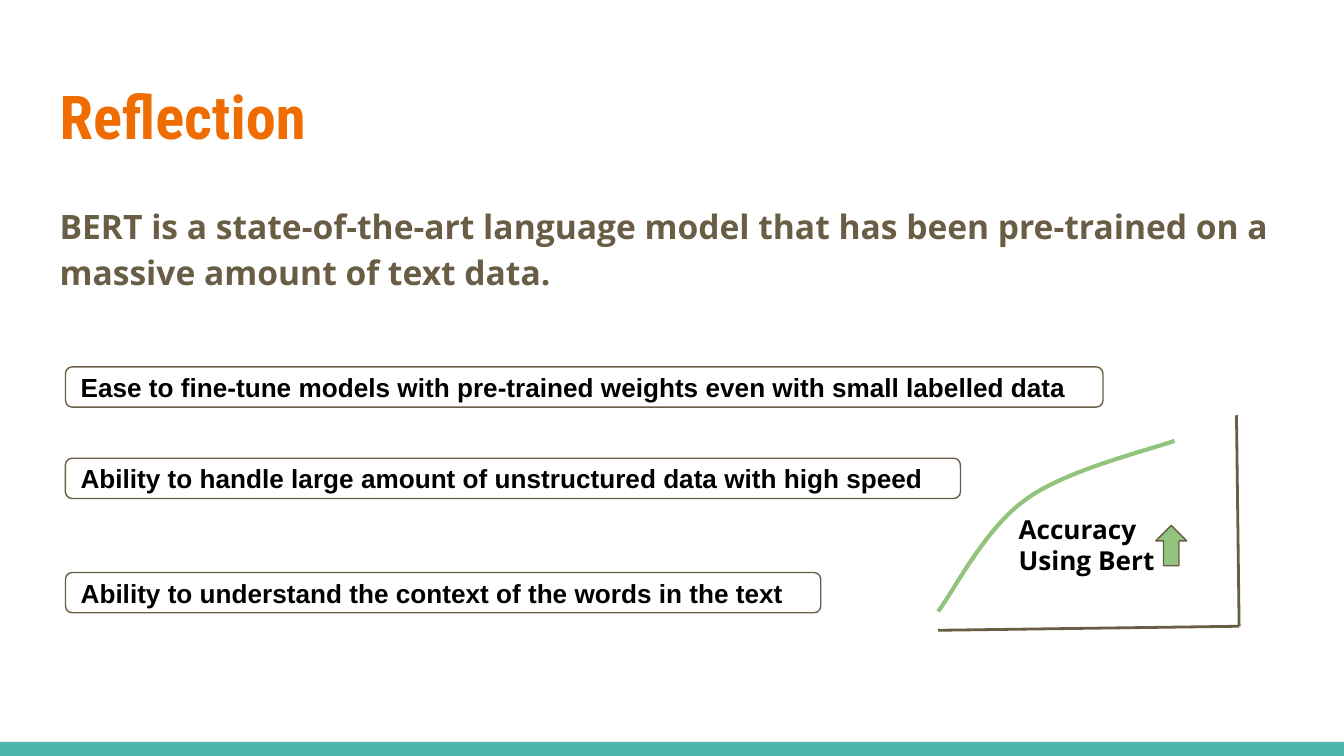
from dataclasses import dataclass

from lxml import etree
from pptx import Presentation
from pptx.dml.color import RGBColor
from pptx.enum.shapes import MSO_CONNECTOR, MSO_SHAPE
from pptx.enum.text import MSO_ANCHOR, PP_ALIGN
from pptx.oxml.ns import qn
from pptx.util import Inches, Pt

RECTANGLE = MSO_SHAPE.RECTANGLE
ROUNDED = MSO_SHAPE.ROUNDED_RECTANGLE
UP_ARROW = MSO_SHAPE.UP_ARROW
STRAIGHT = MSO_CONNECTOR.STRAIGHT
LEFT = PP_ALIGN.LEFT
TOP, MIDDLE = MSO_ANCHOR.TOP, MSO_ANCHOR.MIDDLE

COLORS = {
    "white": "FFFFFF",
    "black": "000000",
    "teal": "4DB6AC",
    "orange": "EF6C00",
    "brown": "695D46",
    "green": "93C47D",
}
UNIT = 0.1  # inches in one grid column or row
COLUMNS, ROWS = 100, 56.25


@dataclass
class Box:
    """An area in grid columns and rows."""
    column: float
    row: float
    columns: float
    rows: float


@dataclass
class Benefit:
    text: str
    row: float
    columns: float


BENEFITS = [
    Benefit("Ease to fine-tune models with pre-trained weights even with small labelled data", 27.3, 77.2),
    Benefit("Ability to handle large amount of unstructured data with high speed", 34.1, 66.6),
    Benefit("Ability to understand the context of the words in the text", 42.6, 56.2),
]
# Start point, then two control points and an end point for each curve segment
ACCURACY_CURVE = [(69.8, 45.5), (70.9, 44.1), (73.3, 39.3), (76.3, 37.2),
                  (79.2, 35), (85.5, 33.5), (87.4, 32.8)]
AXIS_CORNER = (92.2, 46.6)
AXIS_ENDS = [(69.8, 46.9), (92, 30.9)]


def grid(*cells: float) -> list[int]:
    return [Inches(cell * UNIT) for cell in cells]


def area(box: Box) -> list[int]:
    return grid(box.column, box.row, box.columns, box.rows)


def color(name: str) -> RGBColor:
    return RGBColor.from_string(COLORS[name])


def set_line(shape, name: str, width: float) -> None:
    shape.line.color.rgb = color(name)
    shape.line.width = Pt(width)


def write(shape, text: str, *, size: float, font: str = "Arial", ink: str = "black",
          anchor=TOP, spacing: float = 1.0) -> None:
    frame = shape.text_frame
    frame.word_wrap = True
    frame.vertical_anchor = anchor
    frame.margin_left = frame.margin_right = Inches(0.1)
    frame.margin_top = frame.margin_bottom = Inches(0.1)
    frame.text = text
    for paragraph in frame.paragraphs:
        paragraph.alignment = LEFT
        paragraph.line_spacing = spacing
        for run in paragraph.runs:
            run.font.name = font
            run.font.size = Pt(size)
            run.font.bold = True
            run.font.color.rgb = color(ink)


def add_text(slide, box: Box, text: str, **style) -> None:
    write(slide.shapes.add_textbox(*area(box)), text, **style)


def add_block(slide, kind, box: Box, fill: str, outline: str | None = None):
    shape = slide.shapes.add_shape(kind, *area(box))
    shape.shadow.inherit = False
    shape.fill.solid()
    shape.fill.fore_color.rgb = color(fill)
    if outline:
        set_line(shape, outline, 0.75)
    else:
        shape.line.fill.background()
    return shape


def add_axis(slide, start: tuple[float, float], end: tuple[float, float]) -> None:
    axis = slide.shapes.add_connector(STRAIGHT, *grid(*start, *end))
    set_line(axis, "brown", 1.5)
    etree.SubElement(axis._element.spPr, qn("a:effectLst"))


def add_curve(slide, points: list[tuple[float, float]]) -> None:
    start, *others = [grid(*point) for point in points]
    builder = slide.shapes.build_freeform(*start)
    builder.add_line_segments(others, close=False)
    curve = builder.convert_to_shape()
    curve.shadow.inherit = False
    curve.fill.background()
    set_line(curve, "green", 2.25)
    # Turn each three line segments into one Bezier segment
    segments = list(curve._element.iter(qn("a:lnTo")))
    for first in range(0, len(segments), 3):
        bezier = etree.SubElement(segments[first].getparent(), qn("a:cubicBezTo"))
        for segment in segments[first:first + 3]:
            bezier.append(segment[0])
            segment.getparent().remove(segment)


def main() -> None:
    presentation = Presentation()
    presentation.slide_width, presentation.slide_height = grid(COLUMNS, ROWS)
    slide = presentation.slides.add_slide(presentation.slide_layouts[6])

    # Footer band, title and introduction
    add_block(slide, RECTANGLE, Box(0, 55.2, COLUMNS, ROWS - 55.2), "teal")
    add_text(slide, Box(3.45, 4.9, 93.2, 7.7), "Reflection",
             size=32.4, font="Roboto Condensed", ink="orange")
    add_text(slide, Box(3.45, 13.85, 93.2, 36.1),
             "BERT is a state-of-the-art language model that has been pre-trained "
             "on a massive amount of text data.",
             size=18, font="Open Sans", ink="brown", spacing=1.15)

    # Benefits
    for benefit in BENEFITS:
        label = add_block(slide, ROUNDED, Box(4.87, benefit.row, benefit.columns, 3),
                          "white", "brown")
        label.adjustments[0] = 0.167
        write(label, benefit.text, size=14, anchor=MIDDLE)

    # Accuracy sketch
    add_curve(slide, ACCURACY_CURVE)
    for end in AXIS_ENDS:
        add_axis(slide, end, AXIS_CORNER)
    add_text(slide, Box(74.8, 37.2, 12.5, 6.7), "Accuracy\nUsing Bert",
             size=14, font="Open Sans")
    add_block(slide, UP_ARROW, Box(86, 39.1, 2.3, 3), "green", "brown")

    presentation.save("out.pptx")


if __name__ == "__main__":
    main()
